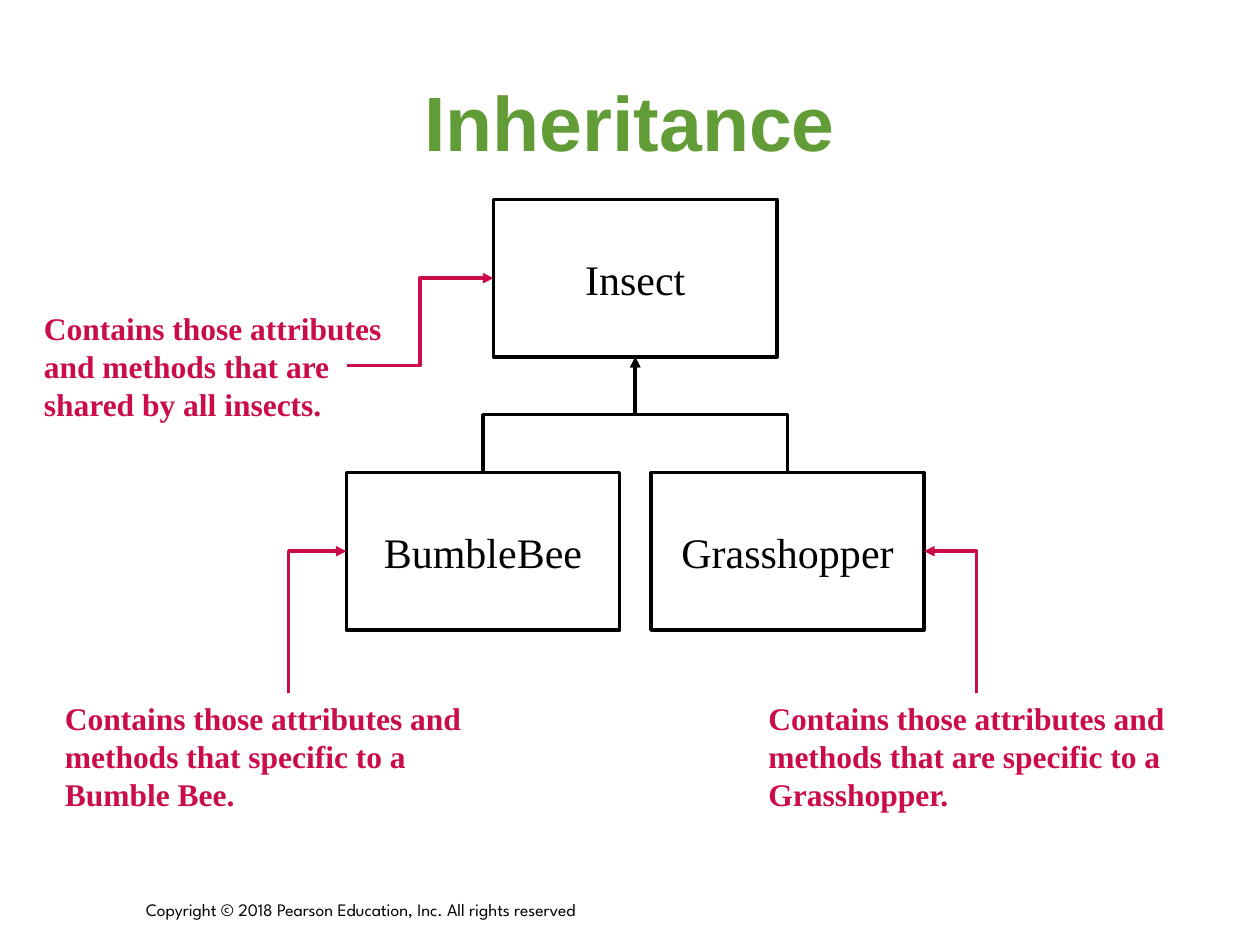
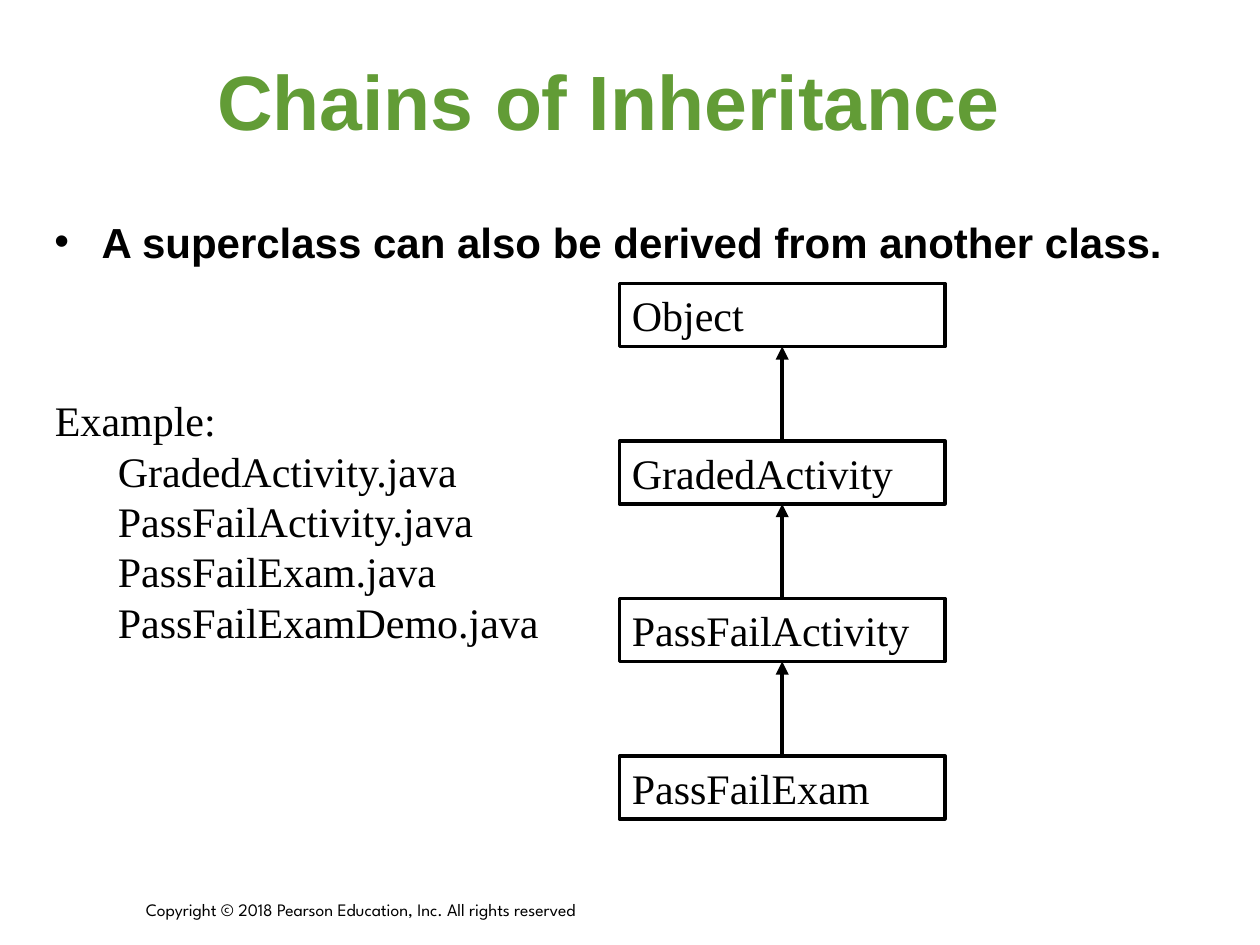
from dataclasses import dataclass

from lxml import etree
from pptx import Presentation
from pptx.dml.color import RGBColor
from pptx.enum import shapes as kinds, text as txt
from pptx.oxml import ns
from pptx.util import Pt

TOP, LEFT, BOTTOM, RIGHT = range(4)
WIRE = kinds.MSO_CONNECTOR
MID = txt.MSO_ANCHOR.MIDDLE
MARGIN = {"margin_left": Pt(7.2), "margin_right": Pt(7.2),
          "margin_top": Pt(3.6), "margin_bottom": Pt(3.6)}


@dataclass(frozen=True)
class Theme:
    """Colours, fonts and type sizes."""
    ink: RGBColor = RGBColor(0, 0, 0)
    paper: RGBColor = RGBColor(255, 255, 255)
    green: RGBColor = RGBColor(0x62, 0x9C, 0x36)
    red: RGBColor = RGBColor(0xCA, 0x0C, 0x48)
    sans: str = "Arial"
    serif: str = "Times New Roman"
    foot: str = "League Spartan"
    head: int = 44
    main: int = 24
    note: int = 18
    small: int = 10
    line: float = 2
    bold: float = 2.5


T = Theme()


def put(item, **vals):
    """Set each named value on an item."""
    for key, val in vals.items():
        setattr(item, key, val)


def write(shape, words, name, size, col, bold=False, align=None, lead=None, **frame):
    """Fill a shape with one formatted paragraph and return it."""
    body = shape.text_frame
    put(body, **{"word_wrap": True, **MARGIN, **frame})
    body.text = words
    para = body.paragraphs[0]
    put(para, alignment=align, line_spacing=lead)
    for run in para.runs:
        put(run.font, name=name, size=Pt(size), bold=bold)
        run.font.color.rgb = col
    return para


def area(slide, box):
    """Add an empty text box."""
    return slide.shapes.add_textbox(*map(Pt, box))


def indent(para, left, mark=None):
    """Give a paragraph a hanging indent and an optional bullet."""
    props = para._p.get_or_add_pPr()
    props.set("marL", str(Pt(left)))
    props.set("indent", str(-Pt(left)))
    if mark:
        etree.SubElement(props, ns.qn("a:buFont"), typeface=T.sans)
        etree.SubElement(props, ns.qn("a:buChar"), char=mark)


def start(deck, words, box):
    """Add a slide with its title and footer."""
    slide = deck.slides.add_slide(deck.slide_layouts[5])
    write(area(slide, (76.3, 505.4, 515.5, 23.8)),
          "Copyright © 2018 Pearson Education, Inc. All rights reserved",
          T.foot, T.small, T.ink, vertical_anchor=txt.MSO_ANCHOR.BOTTOM)
    title = slide.shapes.title
    for key, val in zip(("left", "top", "width", "height"), box):
        setattr(title, key, Pt(val))
    write(title, words, T.sans, T.head, T.green, True,
          txt.PP_ALIGN.CENTER, vertical_anchor=MID)
    return slide


def block(slide, words, box, align):
    """Draw one class box."""
    shape = slide.shapes.add_shape(kinds.MSO_SHAPE.RECTANGLE, *map(Pt, box))
    shape.shadow.inherit = False
    shape.fill.solid()
    shape.fill.fore_color.rgb = T.paper
    shape.line.color.rgb = T.ink
    shape.line.width = Pt(T.line)
    write(shape, words, T.serif, T.main, T.ink, align=align,
          word_wrap=False, vertical_anchor=MID)
    return shape


def note(slide, words, box):
    """Add a red remark."""
    shape = area(slide, box)
    write(shape, words, T.serif, T.note, T.red, True,
          lead=Pt(1.2 * T.note), vertical_anchor=MID)
    return shape


def link(slide, kind, goal, side, col, base=None, edge=TOP, spot=(0, 0), width=T.line):
    """Draw an arrow from a base shape or a spot to the side of a goal."""
    x, y = map(Pt, spot)
    wire = slide.shapes.add_connector(kind, x, y, x, y)
    if base is not None:
        wire.begin_connect(base, edge)
    wire.end_connect(goal, side)
    wire.line.color.rgb = col
    wire.line.width = Pt(width)
    etree.SubElement(wire.line._get_or_add_ln(), ns.qn("a:tailEnd"), type="triangle")
    etree.SubElement(wire._element.spPr, ns.qn("a:effectLst"))
    return wire


def rise(wire, form):
    """Turn an elbow so that it leaves its base upwards."""
    x, y, tox, toy = wire.begin_x, wire.begin_y, wire.end_x, wire.end_y
    wide, high = abs(toy - y), abs(tox - x)
    right = tox > x
    put(wire, left=(x + tox - wide) // 2, top=(y + toy - high) // 2,
        width=wide, height=high)
    props = wire._element.spPr
    put(props.xfrm, rot=90 if right else 270, flipH=right, flipV=True)
    props.find(ns.qn("a:prstGeom")).set("prst", form)


def tree(slide, box):
    """Draw the insect classes and their remarks inside a box."""
    left, top = box[:2]
    mid = txt.PP_ALIGN.CENTER
    insect = block(slide, "Insect", (left + 264, top, 162, 90), mid)
    subs = (
        ("BumbleBee", 180, LEFT, 12, 270,
         "Contains those attributes and methods that specific to a Bumble Bee."),
        ("Grasshopper", 354, RIGHT, 414, 252,
         "Contains those attributes and methods that are specific to a Grasshopper."),
    )
    for name, x, side, notex, wide, words in subs:
        sub = block(slide, name, (left + x, top + 156, 156, 90), mid)
        rise(link(slide, WIRE.ELBOW, insect, BOTTOM, T.ink, sub), "bentConnector3")
        remark = note(slide, words, (left + notex, top + 282, wide, 72))
        rise(link(slide, WIRE.ELBOW, sub, side, T.red, remark), "bentConnector2")
    note(slide, "Contains those attributes and methods that are shared by all insects.",
         (left, top + 59, 222, 72))
    link(slide, WIRE.ELBOW, insect, LEFT, T.red, spot=(left + 180, top + 95))


def chain(slide, box, names):
    """Stack class boxes evenly in a box, each pointing to the one above."""
    left, top, wide, high = box
    tall = 36
    step = (high - tall) / (len(names) - 1)
    above = None
    for row, name in enumerate(names):
        now = block(slide, name, (left, top + row * step, wide, tall),
                    txt.PP_ALIGN.LEFT)
        if above is not None:
            link(slide, WIRE.STRAIGHT, above, BOTTOM, T.ink, now, width=T.bold)
        above = now


def point(slide, box, words):
    """Add the bulleted statement."""
    para = write(area(slide, box), words, T.sans, T.main, T.ink, True)
    indent(para, 27, "•")


def files(slide, box, names):
    """List the example files under their heading."""
    para = write(area(slide, box), "\v".join(("Example:", *names)), T.serif,
                 T.main, T.ink, lead=Pt(1.2 * T.main), word_wrap=False)
    indent(para, 36)


def main():
    """Build and save both slides."""
    deck = Presentation()
    put(deck, slide_width=Pt(720), slide_height=Pt(540))
    slide = start(deck, "Inheritance", (36, 24, 648, 90))
    tree(slide, (18, 114, 666, 354))
    slide = start(deck, "Chains of Inheritance", (24, 12, 648, 90))
    point(slide, (24, 120, 653, 93), "A superclass can also be derived from another class.")
    chain(slide, (354, 162, 186, 306),
          ("Object", "GradedActivity", "PassFailActivity", "PassFailExam"))
    files(slide, (24.3, 222, 291, 151),
          ("GradedActivity.java", "PassFailActivity.java",
           "PassFailExam.java", "PassFailExamDemo.java"))
    deck.save("out.pptx")


if __name__ == "__main__":
    main()
